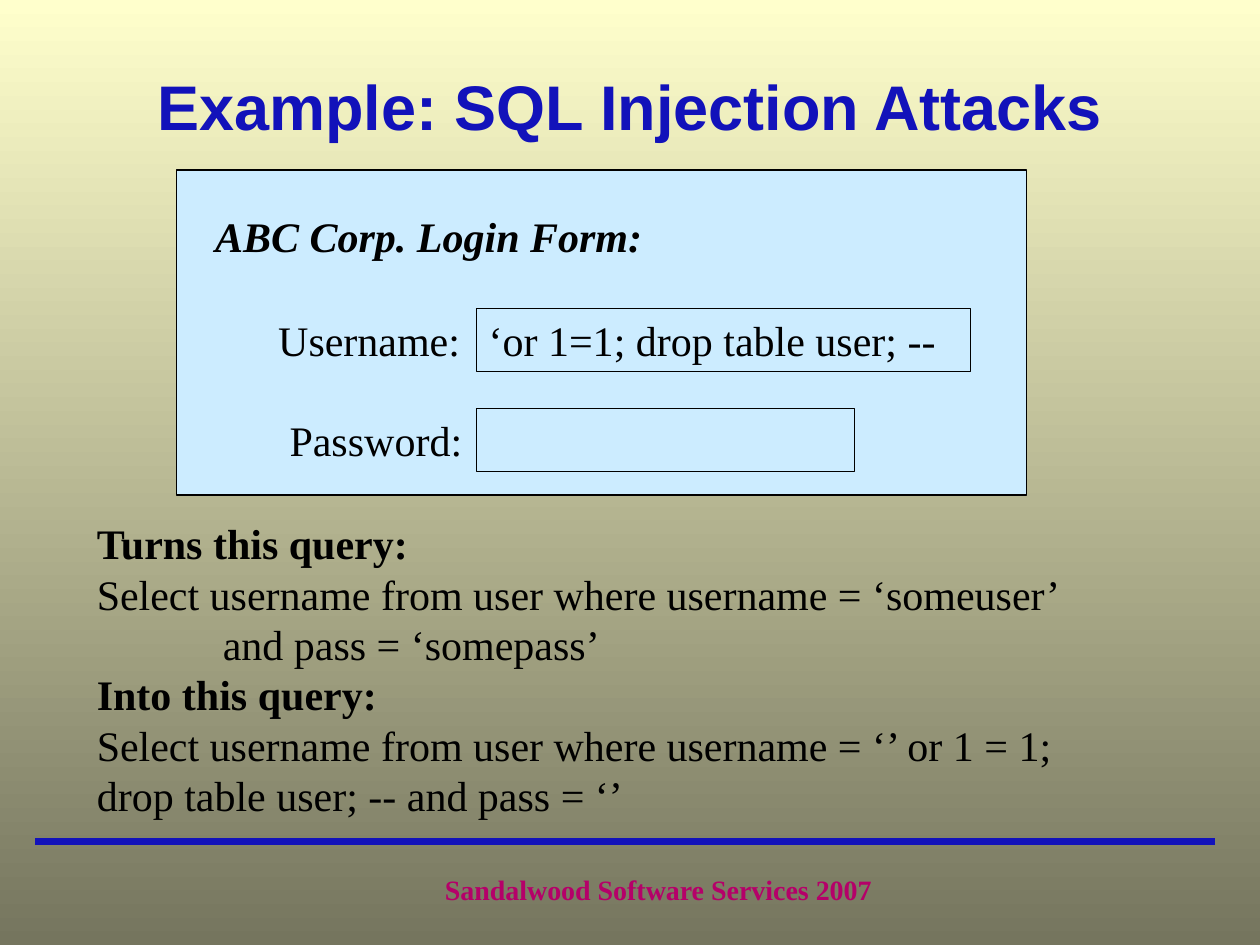
from pptx import Presentation
from pptx.dml.color import RGBColor
from pptx.enum.shapes import MSO_CONNECTOR, MSO_SHAPE
from pptx.enum.text import MSO_ANCHOR, PP_ALIGN
from pptx.oxml.ns import qn
from pptx.util import Inches, Pt
from lxml.etree import SubElement

CREAM = RGBColor(0xFF, 0xFF, 0xCC)
OLIVE = RGBColor(0x75, 0x75, 0x5E)
BLUE = RGBColor(0x12, 0x12, 0xBA)
MAGENTA = RGBColor(0xB5, 0x00, 0x69)
PALE_BLUE = RGBColor(0xCC, 0xEC, 0xFF)
BLACK = RGBColor(0, 0, 0)

FIELD_LEFT = 3.78
USERNAME_TOP = 2.45
PASSWORD_TOP = 3.24
ROW_HEIGHT = 0.5

QUERY_LINES = [
    ("Turns this query:", True),
    ("Select username from user where username = ‘someuser’", False),
    ("\tand pass = ‘somepass’", False),
    ("Into this query:", True),
    ("Select username from user where username = ‘’ or 1 = 1;", False),
    ("drop table user; -- and pass = ‘’", False),
]


def paint_background(slide):
    fill = slide.background.fill
    fill.gradient()
    fill.gradient_angle = 270
    for stop, color, position in zip(fill.gradient_stops, (CREAM, OLIVE), (0, 1)):
        stop.color.rgb = color
        stop.position = position


def add_tab_stop(paragraph, position):
    tabs = SubElement(paragraph._p.get_or_add_pPr(), qn("a:tabLst"))
    SubElement(tabs, qn("a:tab"), pos=str(Inches(position)), algn="l")


def write_paragraph(paragraph, text, *, size=24, font="Times New Roman",
                    color=BLACK, bold=False, italic=False, align=PP_ALIGN.LEFT):
    paragraph.alignment = align
    if "\t" in text:
        add_tab_stop(paragraph, 1)
    run = paragraph.add_run()
    run.text = text
    run.font.name = font
    run.font.size = Pt(size)
    run.font.bold = bold
    run.font.italic = italic
    run.font.color.rgb = color


def add_text(slide, left, top, width, height, text, *, wrap=True,
             anchor=MSO_ANCHOR.TOP, **text_format):
    box = slide.shapes.add_textbox(
        Inches(left), Inches(top), Inches(width), Inches(height))
    frame = box.text_frame
    frame.word_wrap = wrap
    frame.vertical_anchor = anchor
    write_paragraph(frame.paragraphs[0], text, **text_format)
    return frame


def add_box(slide, left, top, width, height, fill=None):
    """Add a thin black rectangle, see-through unless a fill is given."""
    box = slide.shapes.add_shape(
        MSO_SHAPE.RECTANGLE,
        Inches(left), Inches(top), Inches(width), Inches(height))
    box.shadow.inherit = False
    if fill is None:
        box.fill.background()
    else:
        box.fill.solid()
        box.fill.fore_color.rgb = fill
    box.line.color.rgb = BLACK
    box.line.width = Pt(0.75)
    return box


def add_rule(slide, left, right, y):
    rule = slide.shapes.add_connector(
        MSO_CONNECTOR.STRAIGHT, Inches(left), Inches(y), Inches(right), Inches(y))
    rule.line.color.rgb = BLUE
    rule.line.width = Pt(4)
    SubElement(rule.element.spPr, qn("a:effectLst"))


def add_login_form(slide):
    add_box(slide, 1.4, 1.35, 6.75, 2.58, PALE_BLUE)
    add_text(slide, 1.61, 1.62, 3.7, ROW_HEIGHT, "ABC Corp. Login Form:",
             wrap=False, bold=True, italic=True)

    username_field = add_box(slide, FIELD_LEFT, USERNAME_TOP, 3.92, ROW_HEIGHT)
    username_field.text_frame.vertical_anchor = MSO_ANCHOR.TOP
    write_paragraph(username_field.text_frame.paragraphs[0],
                    "‘or 1=1; drop table user; --")
    add_box(slide, FIELD_LEFT, PASSWORD_TOP, 3, ROW_HEIGHT)

    for label, left, top in (("Username:", 2.11, USERNAME_TOP),
                             ("Password:", 2.2, PASSWORD_TOP)):
        add_text(slide, left, top, 1.7, ROW_HEIGHT, label, wrap=False)


def add_queries(slide):
    (first_line, first_bold), *rest = QUERY_LINES
    frame = add_text(slide, 0.67, 4.06, 9.33, 2.5, first_line, bold=first_bold)
    for line, bold in rest:
        write_paragraph(frame.add_paragraph(), line, bold=bold)


def main():
    prs = Presentation()
    prs.slide_width = Inches(10)
    prs.slide_height = Inches(7.5)
    slide = prs.slides.add_slide(prs.slide_layouts[6])

    paint_background(slide)
    add_rule(slide, 0.28, 9.64, 6.68)
    add_text(slide, 1.3, 6.88, 7.85, 0.37, "Sandalwood Software Services 2007",
             size=16, color=MAGENTA, bold=True, align=PP_ALIGN.CENTER)
    add_text(slide, 0.75, 0.21, 8.5, 1.25, "Example: SQL Injection Attacks",
             anchor=MSO_ANCHOR.MIDDLE, size=36, font="Arial", color=BLUE,
             bold=True, align=PP_ALIGN.CENTER)
    add_login_form(slide)
    add_queries(slide)
    prs.save("out.pptx")


if __name__ == "__main__":
    main()
